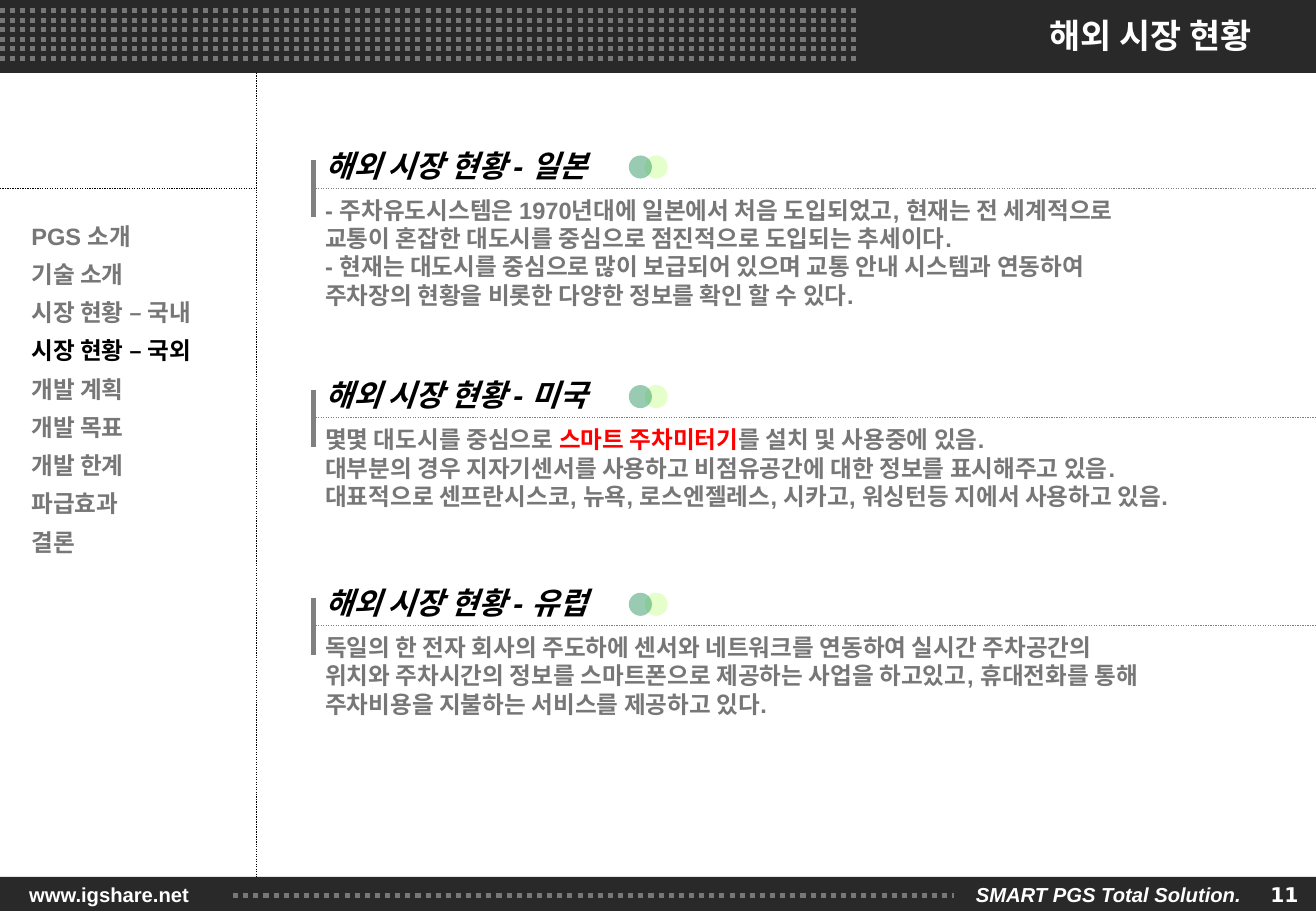
from lxml.etree import SubElement
from pptx import Presentation
from pptx.dml.color import RGBColor
from pptx.enum.dml import MSO_LINE
from pptx.enum.shapes import MSO_CONNECTOR, MSO_SHAPE
from pptx.enum.text import MSO_ANCHOR, PP_ALIGN
from pptx.oxml.ns import qn
from pptx.util import Inches, Pt

WHITE = RGBColor(0xFF, 0xFF, 0xFF)
BLACK = RGBColor(0x00, 0x00, 0x00)
CHARCOAL = RGBColor(0x29, 0x29, 0x29)
GRAY = RGBColor(0x77, 0x77, 0x77)
RULE_GRAY = RGBColor(0x80, 0x80, 0x80)
RED = RGBColor(0xFF, 0x00, 0x00)
LIME = RGBColor(0xCC, 0xFF, 0x99)
GREEN = RGBColor(0x33, 0x99, 0x66)

WIDTH, HEIGHT = 10.84, 7.5
HEADER_HEIGHT = 0.6
FOOTER_HEIGHT = 0.28
FOOTER_TOP = HEIGHT - FOOTER_HEIGHT
SIDEBAR_WIDTH = 2.11
CONTENT_LEFT = 2.58
MENU_TOP, MENU_PITCH = 1.78, 0.315

presentation = Presentation()
presentation.slide_width = Inches(WIDTH)
presentation.slide_height = Inches(HEIGHT)
slide = presentation.slides.add_slide(presentation.slide_layouts[5])
shapes = slide.shapes


def add_line(x1, y1, x2, y2, color, weight, dotted=True):
    line = shapes.add_connector(MSO_CONNECTOR.STRAIGHT, Inches(x1), Inches(y1), Inches(x2), Inches(y2))
    line.line.color.rgb = color
    line.line.width = Pt(weight)
    if dotted:
        line.line.dash_style = MSO_LINE.ROUND_DOT
    SubElement(line.element.spPr, qn("a:effectLst"))


def write(shape, lines, size, anchor=MSO_ANCHOR.MIDDLE, align=PP_ALIGN.LEFT,
          italic=False, font="Arial", left=0.1, right=0.1, wrap=True):
    """Each line is a list of (text, color) runs."""
    frame = shape.text_frame
    frame.word_wrap = wrap
    frame.vertical_anchor = anchor
    frame.margin_left, frame.margin_right = Inches(left), Inches(right)
    for index, line in enumerate(lines):
        paragraph = frame.add_paragraph() if index else frame.paragraphs[0]
        paragraph.alignment = align
        for text, color in line:
            run = paragraph.add_run()
            run.text = text
            run.font.name = font
            run.font.size = Pt(size)
            run.font.bold = True
            run.font.italic = italic
            run.font.color.rgb = color


# Header and footer bars
for top, height in ((0, HEADER_HEIGHT), (FOOTER_TOP, FOOTER_HEIGHT)):
    bar = shapes.add_shape(MSO_SHAPE.RECTANGLE, 0, Inches(top), Inches(WIDTH), Inches(height))
    bar.shadow.inherit = False
    bar.fill.solid()
    bar.fill.fore_color.rgb = CHARCOAL
    bar.line.fill.background()
write(bar, [[("www.igshare.net", WHITE)]], 12, left=0.24)

# Page number and slogan
page_number = shapes.add_shape(MSO_SHAPE.OVAL, Inches(10.36), Inches(7.24), Inches(0.51), Inches(0.24))
page_number.shadow.inherit = False
page_number.fill.background()
page_number.line.fill.background()
write(page_number, [[("11", WHITE)]], 12, align=PP_ALIGN.RIGHT, font="DejaVu Sans", left=0, wrap=False)
slogan = shapes.add_textbox(Inches(7.94), Inches(FOOTER_TOP), Inches(2.5), Inches(FOOTER_HEIGHT))
write(slogan, [[("SMART PGS Total Solution.", WHITE)]], 12, italic=True)

# Dotted decoration and sidebar frame
add_line(1.92, 7.37, 7.86, 7.37, GRAY, 3)
for row in range(6):
    y = 0.09 + row * 0.078
    add_line(0, y, 7.07, y, GRAY, 3)
add_line(SIDEBAR_WIDTH, HEADER_HEIGHT, SIDEBAR_WIDTH, FOOTER_TOP, BLACK, 0.75)
add_line(0, 1.55, SIDEBAR_WIDTH, 1.55, BLACK, 0.75)

# Title, raised above the header bar
title = shapes.title
title.left, title.top = 0, Inches(-0.01)
title.width, title.height = Inches(WIDTH), Inches(HEADER_HEIGHT)
write(title, [[("해외 시장 현황", WHITE)]], 20, align=PP_ALIGN.RIGHT, right=0.53)
title.element.getparent().append(title.element)

# Market sections: rule position, country, body lines
sections = [
    (1.55, "일본", [
        [("- 주차유도시스템은 1970년대에 일본에서 처음 도입되었고, 현재는 전 세계적으로", GRAY)],
        [("교통이 혼잡한 대도시를 중심으로 점진적으로 도입되는 추세이다.", GRAY)],
        [("- 현재는 대도시를 중심으로 많이 보급되어 있으며 교통 안내 시스템과 연동하여", GRAY)],
        [("주차장의 현황을 비롯한 다양한 정보를 확인 할 수 있다.", GRAY)],
    ]),
    (3.44, "미국", [
        [("몇몇 대도시를 중심으로 ", GRAY), ("스마트 주차미터기", RED), ("를 설치 및 사용중에 있음.", GRAY)],
        [("대부분의 경우 지자기센서를 사용하고 비점유공간에 대한 정보를 표시해주고 있음.", GRAY)],
        [("대표적으로 센프란시스코, 뉴욕, 로스엔젤레스, 시카고, 워싱턴등 지에서 사용하고 있음.", GRAY)],
    ]),
    (5.15, "유럽", [
        [("독일의 한 전자 회사의 주도하에 센서와 네트워크를 연동하여 실시간 주차공간의", GRAY)],
        [("위치와 주차시간의 정보를 스마트폰으로 제공하는 사업을 하고있고, 휴대전화를 통해", GRAY)],
        [("주차비용을 지불하는 서비스를 제공하고 있다.", GRAY)],
    ]),
]
for rule, country, body_lines in sections:
    add_line(CONTENT_LEFT, rule - 0.23, CONTENT_LEFT, rule + 0.24, RULE_GRAY, 3, dotted=False)
    add_line(CONTENT_LEFT, rule, WIDTH, rule, RULE_GRAY, 0.75)
    heading = shapes.add_textbox(Inches(CONTENT_LEFT), Inches(rule - 0.38), Inches(3.23), Inches(0.38))
    write(heading, [[(f"해외 시장 현황 - {country}", BLACK)]], 18, italic=True)
    body = shapes.add_textbox(Inches(CONTENT_LEFT), Inches(rule + 0.01), Inches(8.2),
                              Inches(0.1 + 0.25 * len(body_lines)))
    write(body, body_lines, 14, anchor=MSO_ANCHOR.TOP)
    for left, color in ((5.31, LIME), (5.18, GREEN)):
        dot = shapes.add_shape(MSO_SHAPE.OVAL, Inches(left), Inches(rule - 0.27), Inches(0.19), Inches(0.19))
        dot.shadow.inherit = False
        dot.line.fill.background()
        dot.fill.solid()
        dot.fill.fore_color.rgb = color
        color_element = dot.element.spPr.find(qn("a:solidFill"))[0]
        SubElement(color_element, qn("a:alpha")).set("val", "50000")

# Sidebar menu with the current entry in black
menu = ["PGS 소개", "기술 소개", "시장 현황 – 국내", "시장 현황 – 국외", "개발 계획",
        "개발 목표", "개발 한계", "파급효과", "결론"]
current = "시장 현황 – 국외"
for row, label in enumerate(menu):
    entry = shapes.add_textbox(Inches(0.16), Inches(MENU_TOP + row * MENU_PITCH), Inches(1.8), Inches(0.32))
    write(entry, [[(label, BLACK if label == current else GRAY)]], 14)

presentation.save("out.pptx")
